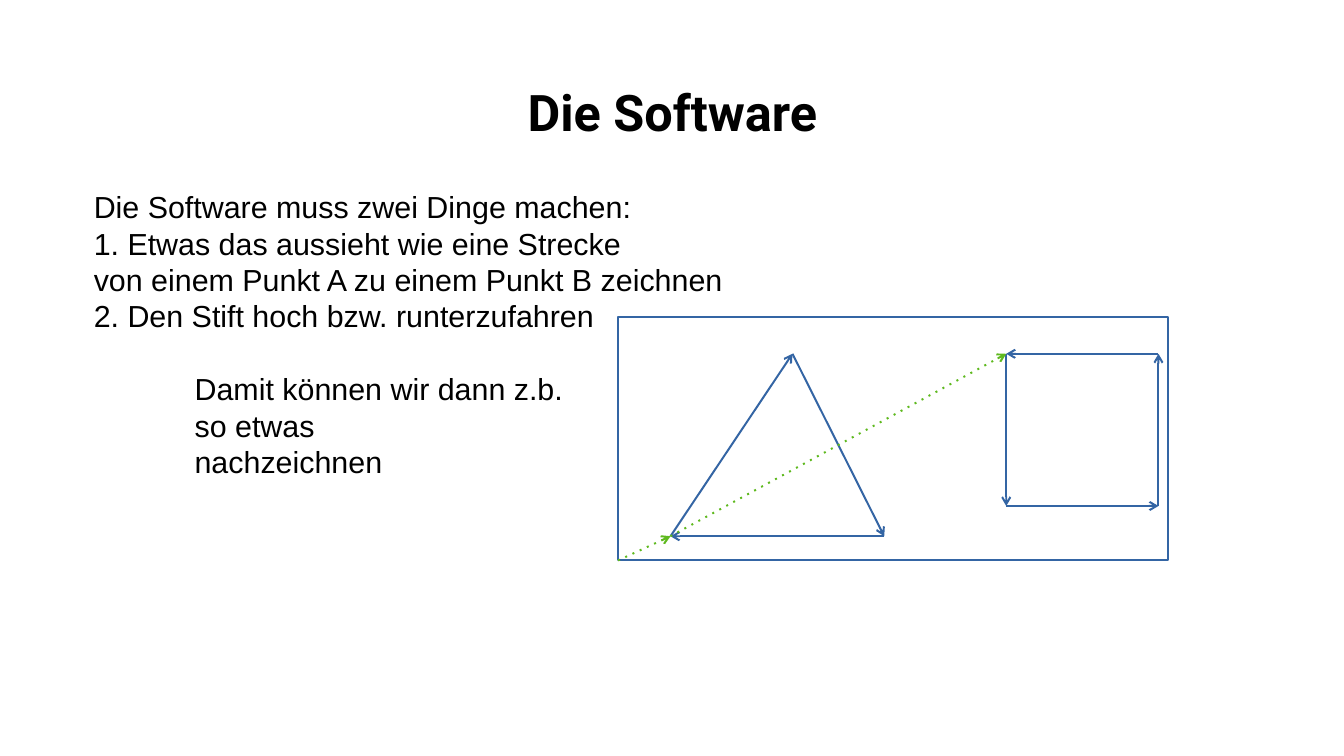
"""Build the slide "Die Software" with its plotter drawing example."""
from lxml.etree import SubElement
from pptx import Presentation
from pptx.dml.color import RGBColor
from pptx.enum.shapes import MSO_CONNECTOR, MSO_SHAPE
from pptx.enum.text import MSO_ANCHOR, MSO_AUTO_SIZE, PP_ALIGN
from pptx.oxml.ns import qn
from pptx.util import Inches, Pt

BLACK = RGBColor(0x00, 0x00, 0x00)
BLUE = RGBColor(0x34, 0x65, 0xA4)
GREEN = RGBColor(0x5E, 0xB9, 0x1E)
LINE_WIDTH = Pt(1.42)
LINE_PITCH = Pt(26)


def place(shape, left, top, width, height):
    shape.left, shape.top = Inches(left), Inches(top)
    shape.width, shape.height = Inches(width), Inches(height)


def add_arrow(start, end, color, dotted=False):
    ends = [Inches(value) for value in (*start, *end)]
    arrow = slide.shapes.add_connector(MSO_CONNECTOR.STRAIGHT, *ends)
    arrow.line.color.rgb = color
    arrow.line.width = LINE_WIDTH
    properties = arrow._element.spPr
    line = properties.find(qn("a:ln"))
    if dotted:
        dash = SubElement(line, qn("a:custDash"))
        SubElement(dash, qn("a:ds"), d="100000", sp="300000")
    SubElement(line, qn("a:tailEnd"), type="arrow")
    SubElement(properties, qn("a:effectLst"))


presentation = Presentation()
presentation.slide_width = Inches(13.33)
presentation.slide_height = Inches(7.5)
slide = presentation.slides.add_slide(presentation.slide_layouts[1])

title = slide.shapes.title
place(title, 0.72, 0.39, 11.9, 1.43)
title_frame = title.text_frame
title_frame.text = "Die Software"
title_frame.auto_size = MSO_AUTO_SIZE.NONE
title_frame.vertical_anchor = MSO_ANCHOR.MIDDLE
title_frame.margin_left = title_frame.margin_right = 0
title_frame.margin_top = title_frame.margin_bottom = 0
title_paragraph = title_frame.paragraphs[0]
title_paragraph.alignment = PP_ALIGN.CENTER
title_font = title_paragraph.runs[0].font
title_font.name, title_font.size, title_font.bold = "Roboto", Pt(36), True
title_font.color.rgb = BLACK

tasks = [
    "Die Software muss zwei Dinge machen:",
    "1. Etwas das aussieht wie eine Strecke",
    "von einem Punkt A zu einem Punkt B zeichnen",
    "2. Den Stift hoch bzw. runterzufahren",
]
example = ["Damit können wir dann z.b.", "so etwas", "nachzeichnen"]

body = slide.placeholders[1]
place(body, 0.81, 1.81, 6.49, 4.46)
body_frame = body.text_frame
body_frame.text = "\n".join(tasks + example)
body_frame.auto_size = MSO_AUTO_SIZE.NONE
body_frame.word_wrap = True
body_frame.vertical_anchor = MSO_ANCHOR.TOP
body_frame.margin_left, body_frame.margin_right = Inches(0.12), 0
body_frame.margin_top = body_frame.margin_bottom = Inches(0.06)
for index, paragraph in enumerate(body_frame.paragraphs):
    paragraph.alignment = PP_ALIGN.LEFT
    paragraph.line_spacing = LINE_PITCH
    paragraph.space_before = LINE_PITCH if index == len(tasks) else Pt(0)
    paragraph.space_after = Pt(0)
    indent = Inches(1) if index >= len(tasks) else 0
    properties = paragraph._p.get_or_add_pPr()
    properties.set("marL", str(indent))
    properties.set("indent", "0")
    SubElement(properties, qn("a:buNone"))
    font = paragraph.runs[0].font
    font.name, font.size = "Arial", Pt(21.7)
    font.color.rgb = BLACK

triangle = [(6.65, 5.32), (7.86, 3.51), (8.77, 5.32)]
square = [(9.98, 3.51), (9.98, 5.02), (11.49, 5.02), (11.49, 3.51)]
for outline in (triangle, square):
    for start, end in zip(outline, outline[1:] + outline[:1]):
        add_arrow(start, end, BLUE)

sheet = slide.shapes.add_shape(
    MSO_SHAPE.RECTANGLE, Inches(6.13), Inches(3.14), Inches(5.45), Inches(2.42)
)
sheet.shadow.inherit = False
sheet.fill.background()
sheet.line.color.rgb = BLUE
sheet.line.width = LINE_WIDTH

pen_up_stops = [(6.13, 5.56), triangle[0], square[0]]
for start, end in zip(pen_up_stops, pen_up_stops[1:]):
    add_arrow(start, end, GREEN, dotted=True)

presentation.save("out.pptx")
